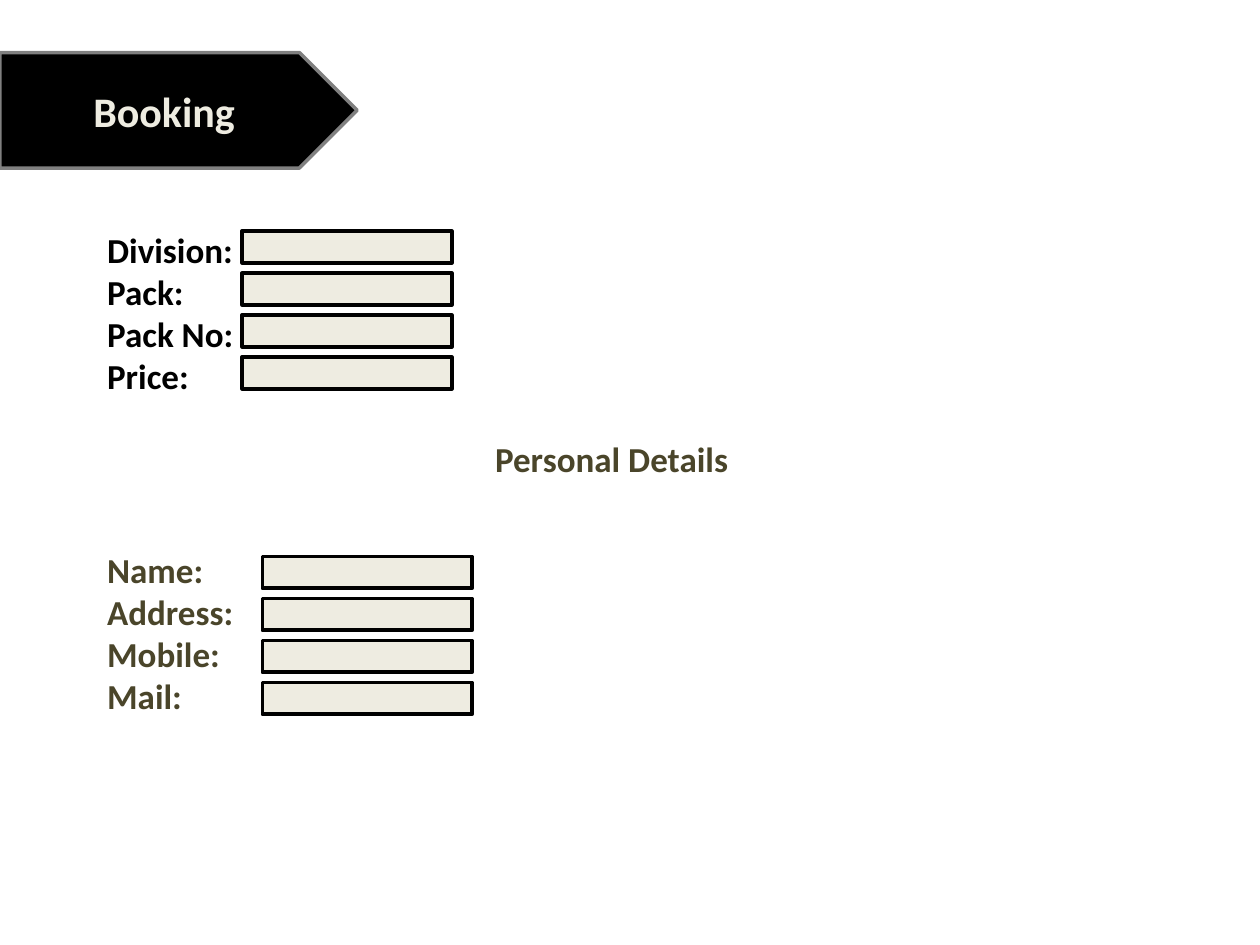
from pptx import Presentation
from pptx.dml.color import RGBColor
from pptx.enum.shapes import MSO_SHAPE
from pptx.enum.text import MSO_ANCHOR, PP_ALIGN
from pptx.util import Cm, Pt

PENTAGON, RECT = MSO_SHAPE.PENTAGON, MSO_SHAPE.RECTANGLE
LEFT, CENTER = PP_ALIGN.LEFT, PP_ALIGN.CENTER
TOP, MIDDLE = MSO_ANCHOR.TOP, MSO_ANCHOR.MIDDLE

BLACK = RGBColor(0x00, 0x00, 0x00)
GREY = RGBColor(0x80, 0x80, 0x80)
CREAM = RGBColor(0xEE, 0xEC, 0xE1)
OLIVE = RGBColor(0x4A, 0x45, 0x2A)

TITLE_ONLY = 5
ROW_PITCH = Pt(24)
FIELD_W, FIELD_H = Cm(4.23), Cm(0.64)


def add_box(s, kind, left, top, width, height, fill, line):
    sp = s.shapes.add_shape(kind, left, top, width, height)
    sp.shadow.inherit = False
    sp.fill.solid()
    sp.fill.fore_color.rgb = fill
    sp.line.color.rgb = line
    sp.line.width = Pt(2)
    return sp


def write_lines(sp, lines, size, color, align=LEFT, anchor=TOP, spacing=None):
    tf = sp.text_frame
    frame_format = {"word_wrap": True, "vertical_anchor": anchor,
                    "margin_left": 0, "margin_right": 0,
                    "margin_top": 0, "margin_bottom": 0}
    for name, value in frame_format.items():
        setattr(tf, name, value)
    tf.text = "\n".join(lines)
    font_format = {"name": "Calibri", "size": Pt(size), "bold": True}
    for p in tf.paragraphs:
        p.alignment = align
        p.line_spacing = spacing
        p.space_before = Pt(0)
        for r in p.runs:
            r.font.color.rgb = color
            for name, value in font_format.items():
                setattr(r.font, name, value)


def add_banner(s, text, left, top, width, height):
    """Put the slide title on an arrow-shaped banner."""
    add_box(s, PENTAGON, left, top, width, height, BLACK, GREY)
    title = s.shapes.title
    # The text is centred on the banner up to halfway along its point.
    place = {"left": left, "top": top,
             "width": width - height // 4, "height": height}
    for name, value in place.items():
        setattr(title, name, value)
    write_lines(title, [text], 24, CREAM, CENTER, MIDDLE)
    s.shapes._spTree.append(title._element)  # in front of the banner


def add_heading(s, text, left, top, width):
    sp = s.shapes.add_textbox(left, top, width, ROW_PITCH)
    write_lines(sp, [text], 20, OLIVE, CENTER, spacing=ROW_PITCH)


def add_form(s, labels, color, left, top, field_left, field_top):
    """Add a column of labels, with one entry field beside each."""
    sp = s.shapes.add_textbox(left, top, field_left - left,
                              ROW_PITCH * len(labels))
    write_lines(sp, labels, 20, color, spacing=ROW_PITCH)
    for row in range(len(labels)):
        add_box(s, RECT, field_left, field_top + row * ROW_PITCH,
                FIELD_W, FIELD_H, CREAM, BLACK)


def main():
    prs = Presentation()
    prs.slide_width, prs.slide_height = Cm(25.4), Cm(19.05)
    s = prs.slides.add_slide(prs.slide_layouts[TITLE_ONLY])
    add_banner(s, "Booking", Cm(0), Cm(1.06), Cm(7.2), Cm(2.33))
    add_form(s, ["Division:", "Pack:", "Pack No:", "Price:"], BLACK,
             Cm(2.16), Cm(4.6), Cm(4.88), Cm(4.66))
    add_heading(s, "Personal Details", Cm(8.33), Cm(8.81), Cm(8))
    add_form(s, ["Name:", "Address:", "Mobile:", "Mail:"], OLIVE,
             Cm(2.16), Cm(11.05), Cm(5.29), Cm(11.22))
    prs.save("out.pptx")


if __name__ == "__main__":
    main()
